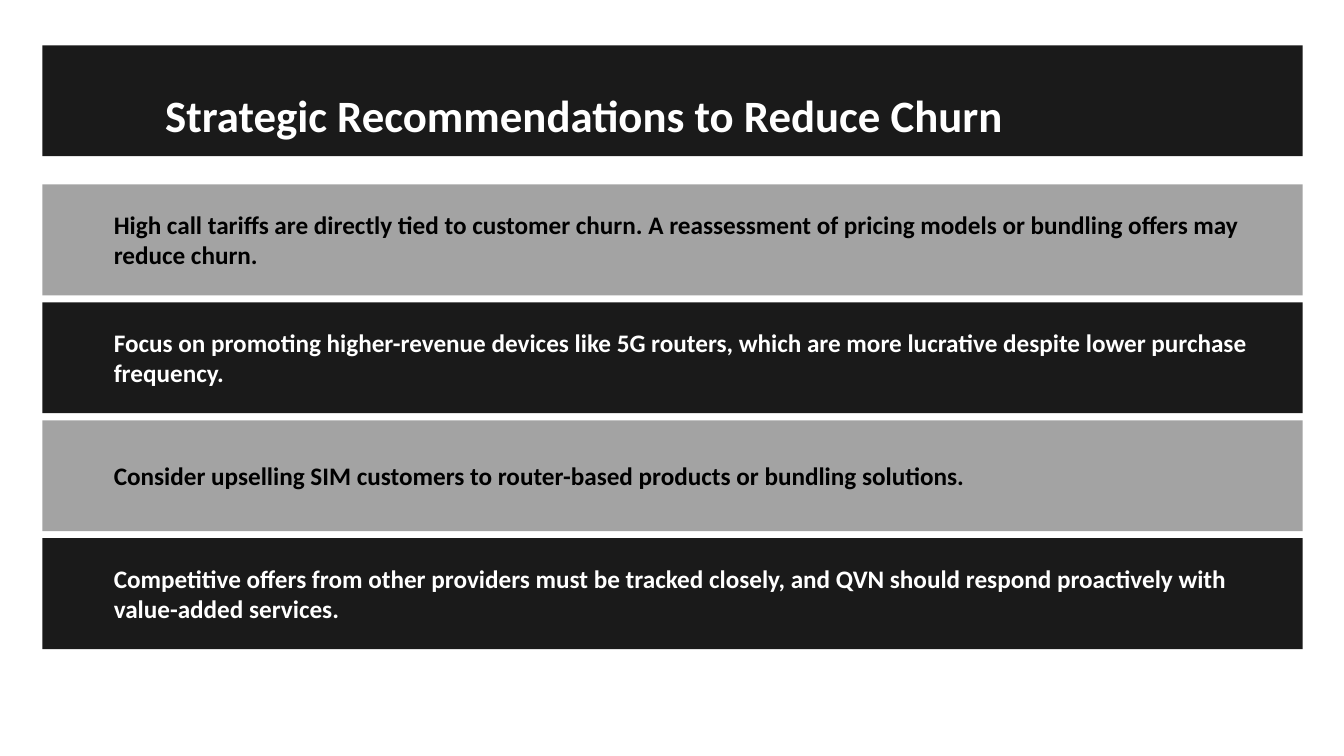
import lxml.etree
import pptx
import pptx.dml.color
import pptx.enum.shapes
import pptx.enum.text
import pptx.oxml.ns
import pptx.util
from pptx.util import Inches


def rgb(value):
    """Return the colour for a hex string."""
    return pptx.dml.color.RGBColor.from_string(value)


class Deck:
    """Hold the style and the current slide."""

    font = "Calibri"
    dark = "1A1A1A"
    white = "FFFFFF"
    black = "000000"

    def __init__(self, prs):
        """Add a blank slide to the presentation."""
        self.s = prs.slides.add_slide(prs.slide_layouts[6])

    def bar(self, top, opacity=100):
        """Draw a full-width dark bar with the given opacity in percent."""
        sp = self.s.shapes.add_shape(
            pptx.enum.shapes.MSO_SHAPE.RECTANGLE,
            Inches(0.42), Inches(top), Inches(12.5), Inches(1.1))
        sp.shadow.inherit = False
        sp.fill.solid()
        sp.fill.fore_color.rgb = rgb(self.dark)
        sp.line.fill.background()
        if opacity < 100:
            qn = pptx.oxml.ns.qn
            clr = sp.element.spPr.find(".//" + qn("a:srgbClr"))
            alpha = lxml.etree.SubElement(clr, qn("a:alpha"))
            alpha.set("val", str(opacity * 1000))

    def text(self, left, top, width, height, text, size, color):
        """Add a wrapped bold text box and return its text frame."""
        tb = self.s.shapes.add_textbox(
            Inches(left), Inches(top), Inches(width), Inches(height))
        tf = tb.text_frame
        tf.word_wrap = True
        tf.auto_size = pptx.enum.text.MSO_AUTO_SIZE.SHAPE_TO_FIT_TEXT
        r = tf.paragraphs[0].add_run()
        r.text = text
        r.font.name = self.font
        r.font.size = pptx.util.Pt(size)
        r.font.bold = True
        r.font.color.rgb = rgb(color)
        return tf

    def title(self, text):
        """Draw the title bar with its centred text."""
        self.bar(0.45)
        tf = self.text(0.44, 0.6, 10.71, 0.72, text, 32, self.white)
        tf.margin_left = tf.margin_right = tf.margin_top = tf.margin_bottom = 0
        p = tf.paragraphs[0]
        p.alignment = pptx.enum.text.PP_ALIGN.CENTER
        p.line_spacing = 1.5

    def recommendation(self, index, text, height):
        """Draw one bar of the alternating list, its text centred in height."""
        top = 1.83 + 1.17 * index
        light = index % 2 == 0
        self.bar(top, 40 if light else 100)
        self.text(1.03, top + (1.1 - height) / 2, 11.89, height, text, 18,
                  self.black if light else self.white)


def main():
    """Build and save the slide."""
    prs = pptx.Presentation()
    prs.slide_width, prs.slide_height = Inches(13.33), Inches(7.5)
    deck = Deck(prs)
    deck.title("Strategic Recommendations to Reduce Churn")
    recommendations = [
        ("High call tariffs are directly tied to customer churn. A reassessment "
         "of pricing models or bundling offers may reduce churn.", 0.71),
        ("Focus on promoting higher-revenue devices like 5G routers, which are "
         "more lucrative despite lower purchase frequency.", 0.71),
        ("Consider upselling SIM customers to router-based products or bundling "
         "solutions.", 0.4),
        ("Competitive offers from other providers must be tracked closely, and "
         "QVN should respond proactively with value-added services.", 0.71),
    ]
    for i, (text, height) in enumerate(recommendations):
        deck.recommendation(i, text, height)
    prs.save("out.pptx")


if __name__ == "__main__":
    main()
